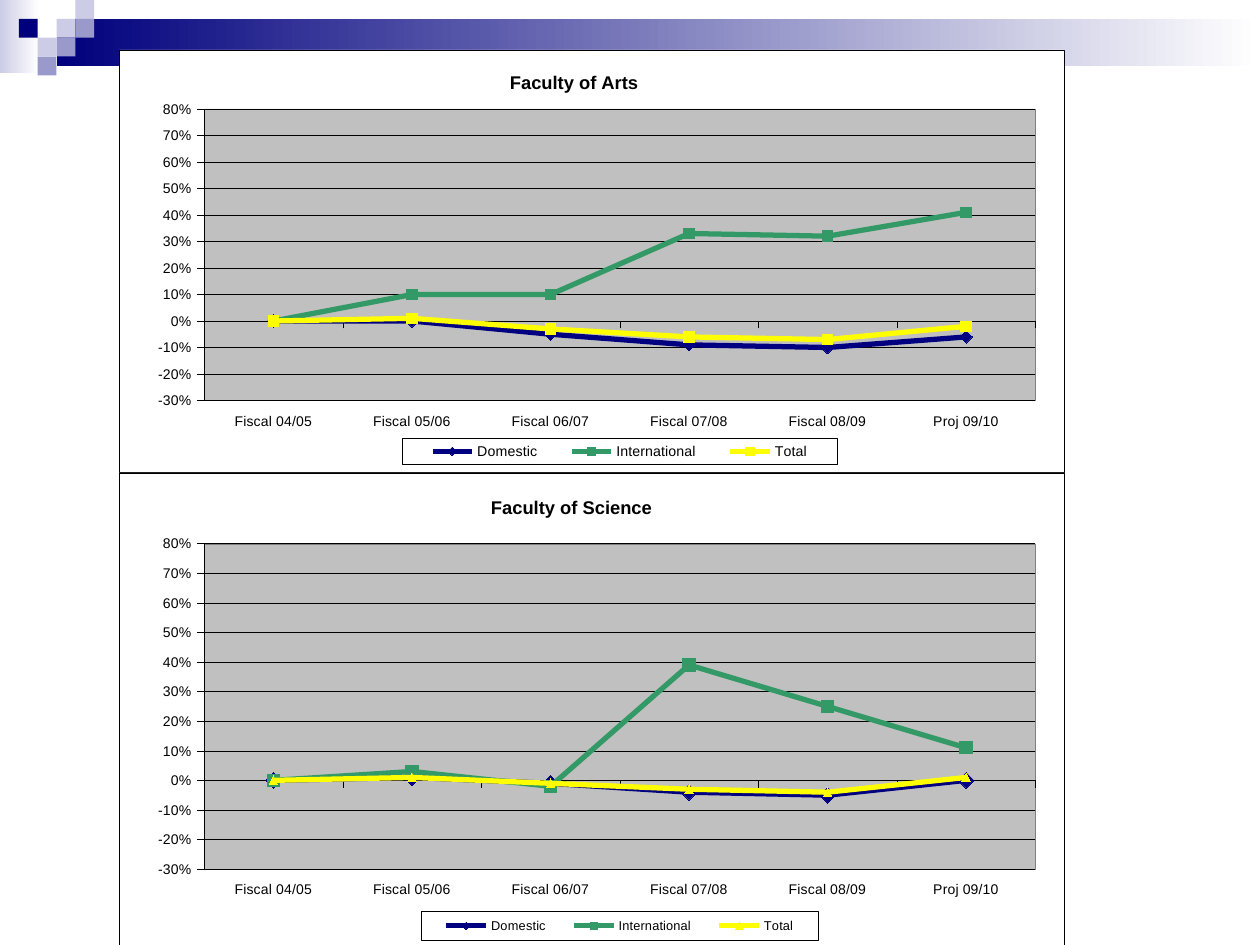
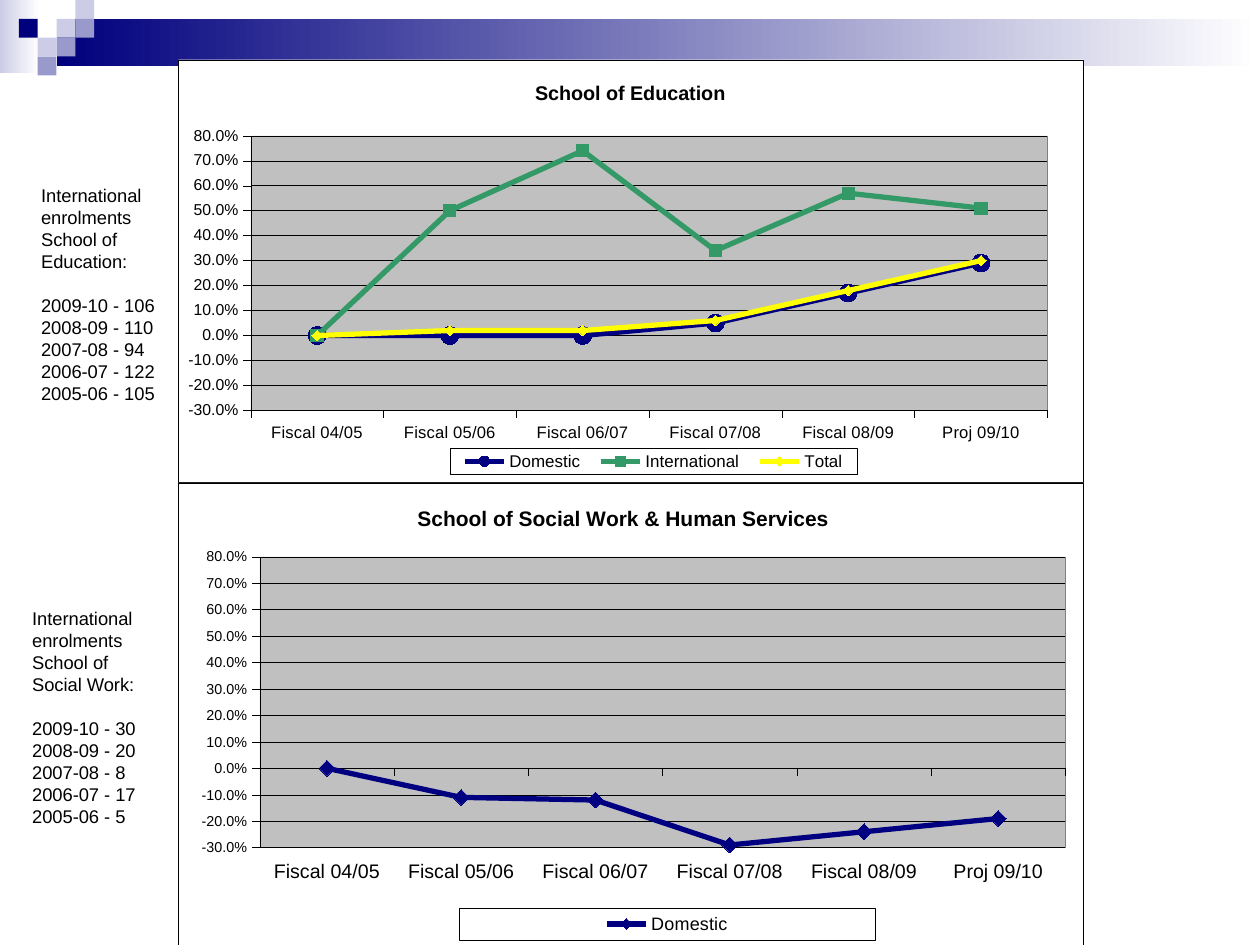
"""Builds two slides of line charts on the change in enrolments by faculty and school."""
from dataclasses import dataclass

import pptx
import pptx.chart.data
import pptx.dml.color
import pptx.enum.chart
import pptx.enum.shapes
import pptx.enum.text
import pptx.oxml
import pptx.oxml.ns
import pptx.util

Cm = pptx.util.Cm
Pt = pptx.util.Pt
Marker = pptx.enum.chart.XL_MARKER_STYLE


@dataclass(frozen=True)
class Theme:
    font: str = "Arial"
    ink: str = "000000"
    paper: str = "FFFFFF"
    navy: str = "00007D"
    lilac: str = "9999CC"
    pale: str = "CCCCE6"
    plot: str = "C0C0C0"
    plot_edge: str = "808080"
    domestic: str = "000080"
    international: str = "339966"
    total: str = "FFFF00"
    note_size: float = 10.5
    hairline: float = 0.25
    series_line: float = 3
    square: float = 0.38


YEARS = ["Fiscal 04/05", "Fiscal 05/06", "Fiscal 06/07",
         "Fiscal 07/08", "Fiscal 08/09", "Proj 09/10"]


def rgb(value):
    return pptx.dml.color.RGBColor.from_string(value)


class Deck:
    def __init__(self, theme):
        self.theme = theme
        self.deck = pptx.Presentation()
        self.deck.slide_width = Cm(25.4)
        self.deck.slide_height = Cm(19.05)
        self.page = None

    def add_page(self):
        theme = self.theme
        self.page = self.deck.slides.add_slide(self.deck.slide_layouts[6])
        self.rectangle(0, 0, 0.79, 1.47, theme.pale, theme.paper)
        self.rectangle(1.14, 0.38, 24.26, 0.95, theme.navy, theme.paper)
        squares = [(3, 1, theme.pale), (4, 0, theme.pale), (4, 1, theme.lilac),
                   (2, 2, theme.pale), (1, 1, theme.navy), (3, 2, theme.lilac),
                   (2, 3, theme.lilac)]
        side = theme.square
        for column, row, color in squares:
            self.rectangle(column * side, row * side, side, side, color)

    def rectangle(self, left, top, width, height, color, fade_to=None):
        shape = self.page.shapes.add_shape(
            pptx.enum.shapes.MSO_SHAPE.RECTANGLE,
            Cm(left), Cm(top), Cm(width), Cm(height))
        shape.shadow.inherit = False
        shape.line.fill.background()
        if fade_to:
            shape.fill.gradient()
            shape.fill.gradient_angle = 0
            for stop, stop_color in zip(shape.fill.gradient_stops, (color, fade_to)):
                stop.color.rgb = rgb(stop_color)
        else:
            shape.fill.solid()
            shape.fill.fore_color.rgb = rgb(color)

    def style_font(self, font, size, bold=False):
        font.name = self.theme.font
        font.size = Pt(size)
        font.bold = bold
        font.color.rgb = rgb(self.theme.ink)

    def note(self, left, top, heading, figures):
        box = self.page.shapes.add_textbox(Cm(left), Cm(top), Cm(2.97), Cm(4.75))
        frame = box.text_frame
        frame.word_wrap = True
        frame.auto_size = pptx.enum.text.MSO_AUTO_SIZE.SHAPE_TO_FIT_TEXT
        frame.text = "\n".join([heading, *figures])
        frame.paragraphs[1].space_before = Pt(12.5)
        for para in frame.paragraphs:
            for span in para.runs:
                self.style_font(span.font, self.theme.note_size)

    def chart_xml(self, tag, content):
        names = pptx.oxml.ns.nsdecls("c", "a")
        return pptx.oxml.parse_xml(f"<c:{tag} {names}>{content}</c:{tag}>")

    def frame_xml(self, fill, line):
        width = Pt(self.theme.hairline)
        return self.chart_xml("spPr", (
            f'<a:solidFill><a:srgbClr val="{fill}"/></a:solidFill>'
            f'<a:ln w="{width}"><a:solidFill><a:srgbClr val="{line}"/></a:solidFill></a:ln>'))

    def layout_xml(self, values, inner=False):
        target = '<c:layoutTarget val="inner"/>' if inner else ""
        modes = '<c:xMode val="edge"/><c:yMode val="edge"/>'
        places = "".join(f'<c:{key} val="{value}"/>' for key, value in zip("xywh", values))
        return self.chart_xml(
            "layout", f"<c:manualLayout>{target}{modes}{places}</c:manualLayout>")

    def axis(self, axis, size):
        self.style_font(axis.tick_labels.font, size)
        axis.major_tick_mark = pptx.enum.chart.XL_TICK_MARK.OUTSIDE
        axis.minor_tick_mark = pptx.enum.chart.XL_TICK_MARK.NONE
        self.hairline(axis.format.line)

    def hairline(self, line):
        line.color.rgb = rgb(self.theme.ink)
        line.width = Pt(self.theme.hairline)

    def line_chart(self, title, bounds, series, sizes, title_at, plot_at, legend_at,
                   number_format="0.0%", axis_at_bottom=False):
        theme = self.theme
        title_size, category_size, value_size, legend_size = sizes
        data = pptx.chart.data.CategoryChartData(number_format=number_format)
        data.categories = YEARS
        for name, color, marker, marker_size, values in series:
            data.add_series(name, values)
        chart = self.page.shapes.add_chart(
            pptx.enum.chart.XL_CHART_TYPE.LINE_MARKERS,
            *(Cm(length) for length in bounds), data).chart
        self.style_font(chart.font, category_size)
        chart.plots[0].vary_by_categories = False

        chart.has_title = True
        chart.chart_title.text_frame.text = title
        for span in chart.chart_title.text_frame.paragraphs[0].runs:
            self.style_font(span.font, title_size, bold=True)

        chart.has_legend = True
        chart.legend.position = pptx.enum.chart.XL_LEGEND_POSITION.BOTTOM
        chart.legend.include_in_layout = False
        self.style_font(chart.legend.font, legend_size)

        self.axis(chart.category_axis, category_size)
        self.axis(chart.value_axis, value_size)
        chart.category_axis.tick_label_position = pptx.enum.chart.XL_TICK_LABEL_POSITION.LOW
        values_axis = chart.value_axis
        values_axis.minimum_scale = -0.3
        values_axis.maximum_scale = 0.8
        values_axis.major_unit = 0.1
        values_axis.tick_labels.number_format = number_format
        values_axis.tick_labels.number_format_is_linked = False
        values_axis.has_major_gridlines = True
        self.hairline(values_axis.major_gridlines.format.line)
        if axis_at_bottom:
            values_axis.crosses = pptx.enum.chart.XL_AXIS_CROSSES.MINIMUM

        for drawn, (name, color, marker, marker_size, values) in zip(
                chart.plots[0].series, series):
            drawn.smooth = False
            drawn.format.line.color.rgb = rgb(color)
            drawn.format.line.width = Pt(theme.series_line)
            drawn.marker.style = marker
            drawn.marker.size = marker_size
            drawn.marker.format.fill.solid()
            drawn.marker.format.fill.fore_color.rgb = rgb(color)
            drawn.marker.format.line.color.rgb = rgb(color)

        self.arrange(chart.element, title_at, plot_at, legend_at)

    def arrange(self, root, title_at, plot_at, legend_at):
        theme = self.theme
        for part in ("title", "plotArea", "legend"):
            for layout in root.xpath(f"c:chart/c:{part}/c:layout"):
                layout.getparent().remove(layout)
        plot = root.xpath("c:chart/c:plotArea")[0]
        plot.insert(0, self.layout_xml(plot_at, inner=True))
        plot.append(self.frame_xml(theme.plot, theme.plot_edge))
        for part, place in (("title", title_at), ("legend", legend_at)):
            overlay = root.xpath(f"c:chart/c:{part}/c:overlay")[0]
            overlay.addprevious(self.layout_xml(place))
        overlay.addnext(self.frame_xml(theme.paper, theme.ink))
        root.xpath("c:chart")[0].addnext(self.frame_xml(theme.paper, theme.ink))
        if not root.xpath("c:roundedCorners"):
            corners = self.chart_xml("roundedCorners", "")
            corners.set("val", "0")
            root.xpath("c:date1904")[0].addnext(corners)


def enrolment_series(theme, markers, *rows):
    names = ("Domestic", "International", "Total")
    colors = (theme.domestic, theme.international, theme.total)
    return [(name, color, *marker, values)
            for name, color, marker, values in zip(names, colors, markers, rows)]


def main():
    theme = Theme()
    deck = Deck(theme)

    deck.add_page()
    deck.line_chart(
        "Faculty of Arts", (2.4, 1, 19.05, 8.53),
        enrolment_series(
            theme, [(Marker.DIAMOND, 7), (Marker.SQUARE, 6), (Marker.SQUARE, 6)],
            (0, 0, -0.05, -0.09, -0.1, -0.06),
            (0, 0.1, 0.1, 0.33, 0.32, 0.41),
            (0, 0.01, -0.03, -0.06, -0.07, -0.02)),
        sizes=(10.5, 8, 8, 8.1), title_at=(0.41, 0.04),
        plot_at=(0.09, 0.14, 0.88, 0.69), legend_at=(0.3, 0.92, 0.46, 0.06),
        number_format="0%")
    deck.line_chart(
        "Faculty of Science", (2.4, 9.53, 19.05, 9.52),
        enrolment_series(
            theme, [(Marker.DIAMOND, 9), (Marker.SQUARE, 7), (Marker.TRIANGLE, 5)],
            (0, 0.01, -0.01, -0.04, -0.05, 0),
            (0, 0.03, -0.02, 0.39, 0.25, 0.11),
            (0, 0.01, -0.01, -0.03, -0.04, 0.01)),
        sizes=(10.5, 8, 8, 7.3), title_at=(0.39, 0.04),
        plot_at=(0.09, 0.15, 0.88, 0.69), legend_at=(0.32, 0.93, 0.42, 0.06),
        number_format="0%")

    deck.add_page()
    deck.note(0.58, 3.58, "International enrolments School of Education:",
              ["2009-10 - 106", "2008-09 - 110", "2007-08 - 94",
               "2006-07 - 122", "2005-06 - 105"])
    deck.note(0.4, 12.12, "International enrolments School of Social Work:",
              ["2009-10 - 30", "2008-09 - 20", "2007-08 - 8",
               "2006-07 - 17", "2005-06 - 5"])
    deck.line_chart(
        "School of Education", (3.59, 1.2, 18.26, 8.53),
        enrolment_series(
            theme, [(Marker.CIRCLE, 10), (Marker.SQUARE, 7), (Marker.DIAMOND, 6)],
            (0, 0, 0, 0.05, 0.17, 0.29),
            (0, 0.5, 0.74, 0.34, 0.57, 0.51),
            (0, 0.02, 0.02, 0.06, 0.18, 0.3)),
        sizes=(11.3, 9.5, 9, 9.7), title_at=(0.39, 0.04),
        plot_at=(0.08, 0.18, 0.88, 0.65), legend_at=(0.3, 0.92, 0.45, 0.06),
        axis_at_bottom=True)
    deck.line_chart(
        "School of Social Work & Human Services", (3.59, 9.73, 18.26, 9.32),
        enrolment_series(
            theme, [(Marker.DIAMOND, 9)],
            (0, -0.11, -0.12, -0.29, -0.24, -0.19)),
        sizes=(12, 11.2, 8.2, 10.3), title_at=(0.26, 0.04),
        plot_at=(0.09, 0.16, 0.89, 0.63), legend_at=(0.31, 0.92, 0.46, 0.07))

    deck.deck.save("out.pptx")


if __name__ == "__main__":
    main()
